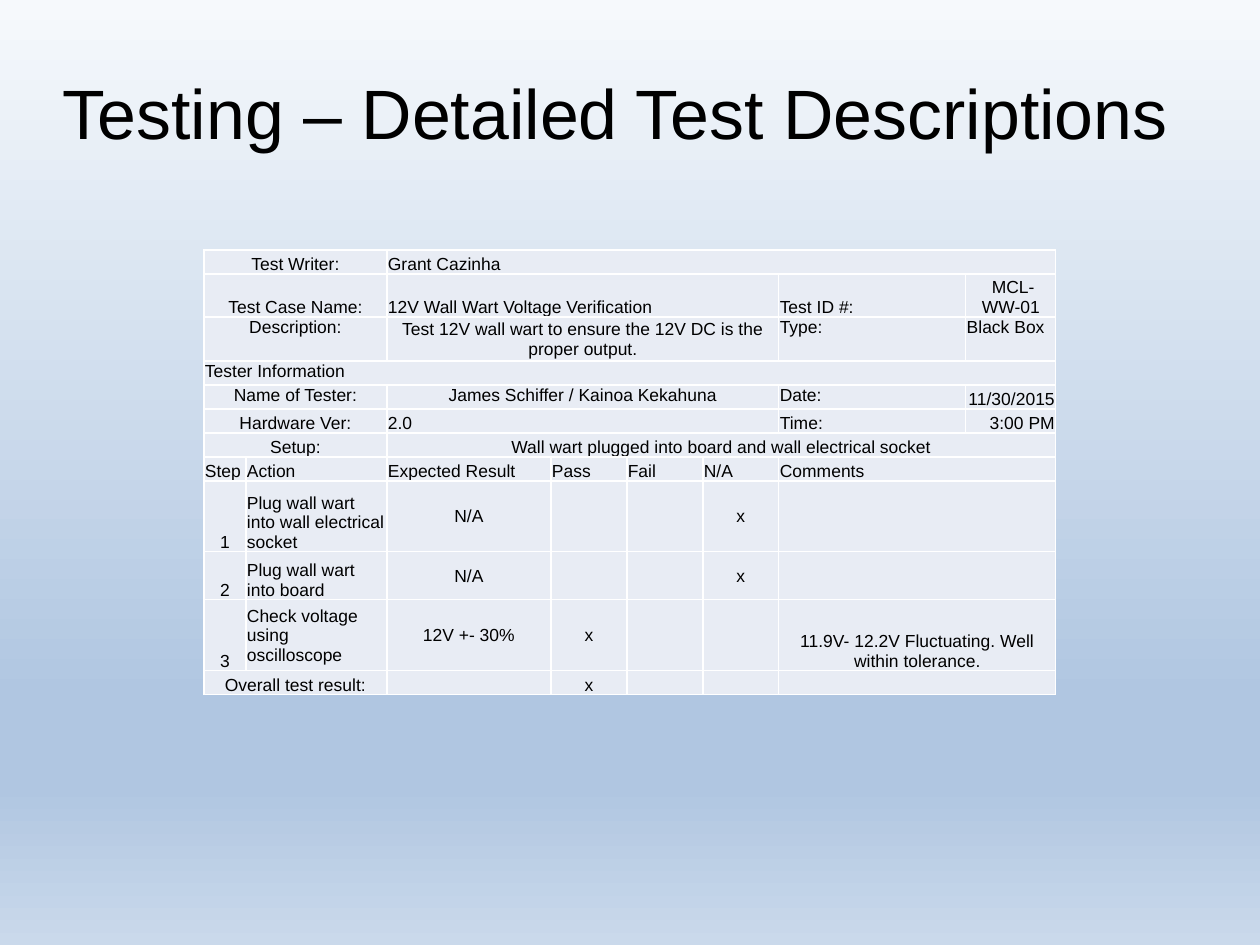
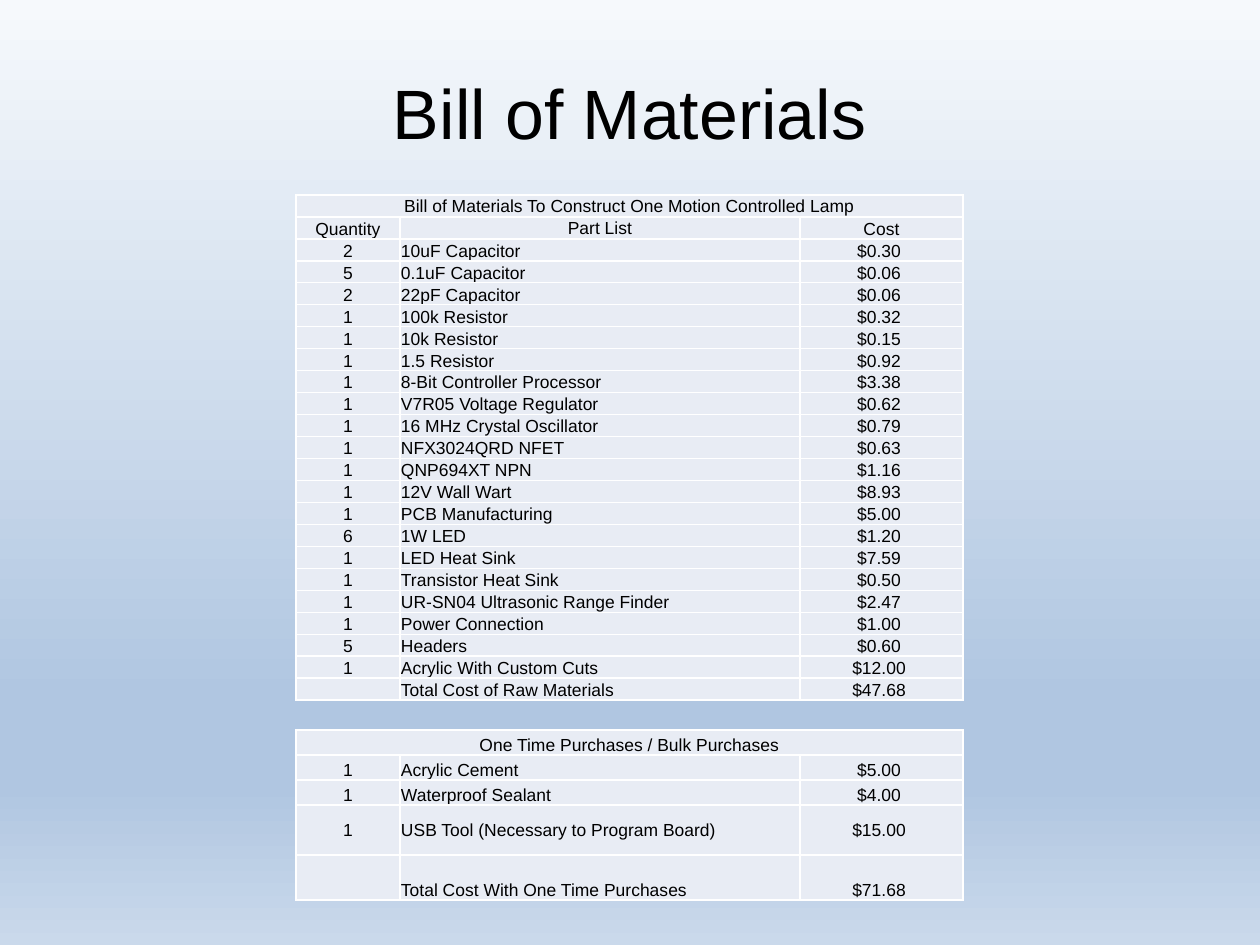
from lxml import etree
from copy import deepcopy
from pptx import Presentation
from pptx.dml.color import RGBColor
from pptx.enum.text import MSO_ANCHOR, PP_ALIGN
from pptx.oxml.ns import qn
from pptx.util import Emu, Pt

ALIGN = {"l": PP_ALIGN.LEFT, "c": PP_ALIGN.CENTER, "r": PP_ALIGN.RIGHT}
ANCHOR = {"t": MSO_ANCHOR.TOP, "m": MSO_ANCHOR.MIDDLE, "b": MSO_ANCHOR.BOTTOM}
EMU_PER_PX = 8000
FONT, BLACK, CELL_FILL = "Arial", "000000", "E8ECF4"
GRADIENT = [(0, "F6F9FC"), (0.74, "B0C6E1"), (0.83, "B0C6E1"), (1, "CAD9EB")]
CELL_INSET = Pt(0.6)
CELL_PT = 11

TEST_COLS = [42, 141, 164, 76, 76, 76, 187, 90]
TEST_ROWS = [24, 40, 44, 24, 24, 24, 24, 24, 71, 48, 71, 24]
TEST_CELLS = [
    [("Test Writer:", "cb", 2), ("Grant Cazinha", "lb", 6)],
    [("Test Case Name:", "cb", 2), ("12V Wall Wart Voltage Verification", "lb", 4),
     ("Test ID #:", "lb", 1), (" MCL-WW-01", "cb", 1)],
    [("Description:", "ct", 2),
     ("Test 12V wall wart to ensure the 12V DC is the proper output.", "cm", 4),
     ("Type:", "lt", 1), ("Black Box", "lt", 1)],
    [("Tester Information", "lt", 8)],
    [("Name of Tester:", "ct", 2), ("James Schiffer / Kainoa Kekahuna", "ct", 4),
     ("Date:", "lt", 1), ("11/30/2015", "rb", 1)],
    [("Hardware Ver:", "cb", 2), ("2.0", "lb", 4), ("Time:", "lb", 1), ("3:00 PM", "rb", 1)],
    [("Setup:", "cb", 2),
     ("Wall wart plugged into board and wall electrical socket", "cb", 6)],
    [("Step", "lb", 1), ("Action", "lb", 1), ("Expected Result", "lb", 1), ("Pass", "lb", 1),
     ("Fail", "lb", 1), ("N/A", "lb", 1), ("Comments", "lb", 2)],
    [("1", "cb", 1), ("Plug wall wart into wall electrical socket", "lb", 1),
     ("N/A", "cm", 1), ("", "cm", 1), ("", "cm", 1), ("x", "cm", 1), ("", "cb", 2)],
    [("2", "cb", 1), ("Plug wall wart into board", "lb", 1),
     ("N/A", "cm", 1), ("", "cm", 1), ("", "cm", 1), ("x", "cm", 1), ("", "cb", 2)],
    [("3", "cb", 1), ("Check voltage using oscilloscope", "lm", 1),
     ("12V +- 30%", "cm", 1), ("x", "cm", 1), ("", "cm", 1), ("", "cm", 1),
     ("11.9V- 12.2V Fluctuating. Well within tolerance.", "cb", 2)],
    [("Overall test result:", "cb", 2), ("", "cb", 1), ("x", "cb", 1), ("", "cb", 1),
     ("", "cb", 1), ("", "cb", 2)],
]

COST_COLS = [104, 400, 163]
PARTS = [
    ("2", "10uF Capacitor", "$0.30"),
    ("5", "0.1uF Capacitor", "$0.06"),
    ("2", "22pF Capacitor", "$0.06"),
    ("1", "100k Resistor", "$0.32"),
    ("1", "10k Resistor", "$0.15"),
    ("1", "1.5 Resistor", "$0.92"),
    ("1", "8-Bit Controller Processor", "$3.38"),
    ("1", "V7R05 Voltage Regulator", "$0.62"),
    ("1", "16 MHz Crystal Oscillator", "$0.79"),
    ("1", "NFX3024QRD NFET", "$0.63"),
    ("1", "QNP694XT NPN", "$1.16"),
    ("1", "12V Wall Wart", "$8.93"),
    ("1", "PCB Manufacturing", "$5.00"),
    ("6", "1W LED", "$1.20"),
    ("1", "LED Heat Sink", "$7.59"),
    ("1", "Transistor Heat Sink", "$0.50"),
    ("1", "UR-SN04 Ultrasonic Range Finder", "$2.47"),
    ("1", "Power Connection", "$1.00"),
    ("5", "Headers", "$0.60"),
    ("1", "Acrylic With Custom Cuts", "$12.00"),
    ("", "Total Cost of Raw Materials", "$47.68"),
]
PARTS_HEIGHT = 476
PURCHASES = [
    ("1", "Acrylic Cement", "$5.00"),
    ("1", "Waterproof Sealant", "$4.00"),
    ("1", "USB Tool (Necessary to Program Board)", "$15.00"),
    ("", "Total Cost With One Time Purchases", "$71.68"),
]
PURCHASE_ROWS = [25, 25, 25, 50, 45]


def px(n):
    """Turn px into EMU."""
    return Emu(round(n * EMU_PER_PX))


def rgb(color):
    """Turn a hex string into a colour."""
    return RGBColor.from_string(color)


def set_background(master):
    """Give the master its vertical gradient."""
    fill = master.background.fill
    fill.gradient()
    fill.gradient_angle = 270
    stops = next(master.element.iter(qn("a:gsLst")))
    while len(stops) < len(GRADIENT):
        stops.append(deepcopy(stops[0]))
    for stop, (position, color) in zip(fill.gradient_stops, GRADIENT):
        stop.position = position
        stop.color.rgb = rgb(color)


def add_run(p, text, size):
    """Add one run of black text."""
    r = p.add_run()
    r.text = text
    r.font.size = Pt(size)
    r.font.name = FONT
    r.font.color.rgb = rgb(BLACK)


def add_title(s, text, align):
    """Add the slide title."""
    tf = s.shapes.add_textbox(px(63), px(38), px(1134), px(158)).text_frame
    tf.word_wrap = True
    tf.margin_left = tf.margin_right = tf.margin_top = tf.margin_bottom = 0
    tf.vertical_anchor = ANCHOR["m"]
    p = tf.paragraphs[0]
    p.alignment = ALIGN[align]
    p.line_spacing = 0.9
    add_run(p, text, 44)


def style_cell(cell):
    """Set fill and insets of a cell."""
    cell.fill.solid()
    cell.fill.fore_color.rgb = rgb(CELL_FILL)
    cell.margin_left = cell.margin_right = cell.margin_top = CELL_INSET
    cell.margin_bottom = 0


def fill_cell(cell, text, place):
    """Write a cell's text, placed by an align and an anchor letter."""
    align, anchor = place
    cell.vertical_anchor = ANCHOR[anchor]
    p = cell.text_frame.paragraphs[0]
    p.alignment = ALIGN[align]
    if text:
        add_run(p, text, CELL_PT)
    else:
        etree.SubElement(p._p, qn("a:endParaRPr"), sz=str(CELL_PT * 100))


def add_grid(s, left, top, cols, heights, rows):
    """Add a table from rows of (text, place, span)."""
    frame = s.shapes.add_table(len(heights), len(cols), px(left), px(top),
                               px(sum(cols)), px(sum(heights)))
    table = frame.table
    table.first_row = table.horz_banding = False
    for col, width in zip(table.columns, cols):
        col.width = px(width)
    for row, height in zip(table.rows, heights):
        row.height = px(height)
    for cell in table.iter_cells():
        style_cell(cell)
    for i, row in enumerate(rows):
        j = 0
        for text, place, span in row:
            cell = table.cell(i, j)
            if span > 1:
                cell.merge(table.cell(i, j + span - 1))
            fill_cell(cell, text, place)
            j += span


def cost_row(item, anchor="b"):
    """Lay out quantity, part and cost as one row."""
    quantity, part, cost = item
    return [(quantity, "c" + anchor, 1), (part, "l" + anchor, 1), (cost + " ", "c" + anchor, 1)]


def add_test_slide(prs):
    """Build the slide with the test description."""
    s = prs.slides.add_slide(prs.slide_layouts[6])
    add_title(s, "Testing – Detailed Test Descriptions", "l")
    add_grid(s, 204, 250, TEST_COLS, TEST_ROWS, TEST_CELLS)


def add_materials_slide(prs):
    """Build the slide with the two cost tables."""
    s = prs.slides.add_slide(prs.slide_layouts[6])
    add_title(s, "Bill of Materials", "c")
    rows = [[("Bill of Materials To Construct One Motion Controlled Lamp", "cm", 3)],
            [("Quantity", "cb", 1), ("Part List", "cm", 1), ("Cost", "cb", 1)]]
    rows += [cost_row(item) for item in PARTS]
    add_grid(s, 296, 195, COST_COLS, [PARTS_HEIGHT / len(rows)] * len(rows), rows)
    rows = [[("One Time Purchases / Bulk Purchases", "cb", 3)]]
    rows += [cost_row(item, anchor) for item, anchor in zip(PURCHASES, "bbmb")]
    add_grid(s, 296, 730, COST_COLS, PURCHASE_ROWS, rows)


def main():
    """Build and save the presentation."""
    prs = Presentation()
    prs.slide_width, prs.slide_height = px(1260), px(945)
    set_background(prs.slide_master)
    add_test_slide(prs)
    add_materials_slide(prs)
    prs.save("out.pptx")


if __name__ == "__main__":
    main()
